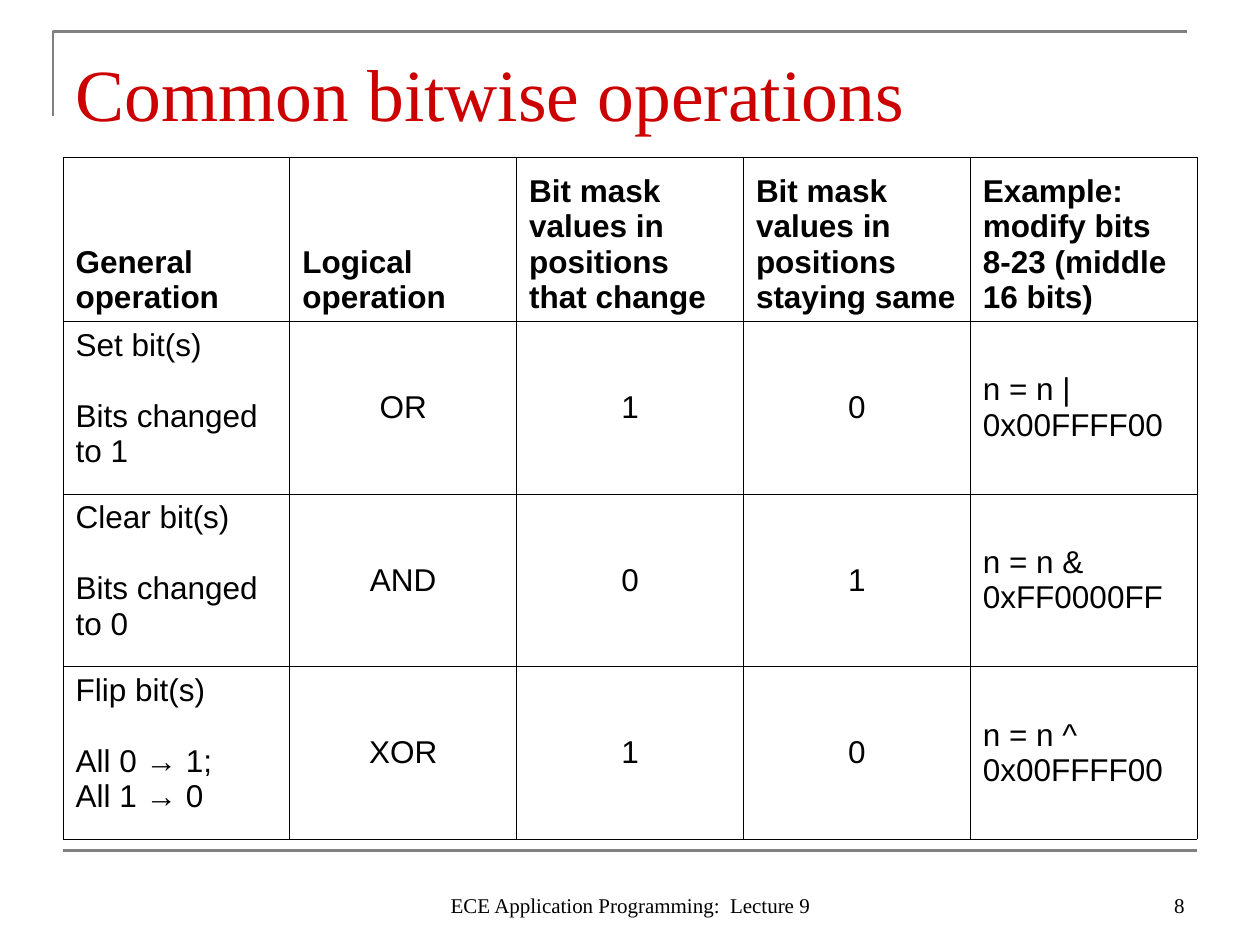
"""Build a slide with a table of common bitwise operations."""
from lxml.etree import SubElement
from pptx import Presentation
from pptx.dml.color import RGBColor
from pptx.enum.shapes import MSO_CONNECTOR
from pptx.enum.text import MSO_ANCHOR as Anchor, PP_ALIGN as Align
from pptx.oxml.ns import qn
from pptx.util import Inches, Pt

RED = RGBColor(0xCC, 0x00, 0x00)
GRAY = RGBColor(0x80, 0x80, 0x80)
BLACK = RGBColor(0x00, 0x00, 0x00)
WHITE = RGBColor(0xFF, 0xFF, 0xFF)
SERIF, SANS = "Times New Roman", "Arial"
ROWS = [
    (["General operation"], "Logical operation", "Bit mask values in positions that change",
     "Bit mask values in positions staying same", "Example: modify bits 8-23 (middle 16 bits)"),
    (["Set bit(s)", "Bits changed to 1"], "OR", "1", "0", "n = n | 0x00FFFF00"),
    (["Clear bit(s)", "Bits changed to 0"], "AND", "0", "1", "n = n & 0xFF0000FF"),
    (["Flip bit(s)", "All 0 → 1;", "All 1 → 0"], "XOR", "1", "0", "n = n ^ 0x00FFFF00"),
]


def write(frame, lines, size=18, font=SANS, color=BLACK, bold=False, align=Align.LEFT,
          anchor=Anchor.BOTTOM, gap=0):
    frame.word_wrap = True
    frame.vertical_anchor = anchor
    for index, line in enumerate(lines):
        paragraph = frame.add_paragraph() if index else frame.paragraphs[0]
        paragraph.alignment = align
        paragraph.space_before = Pt(gap if index == 1 else 0)
        run = paragraph.add_run()
        run.text = line
        run.font.size, run.font.name, run.font.bold = Pt(size), font, bold
        run.font.color.rgb = color


def add_borders(cell):
    properties = cell._tc.get_or_add_tcPr()
    for side in ("a:lnL", "a:lnR", "a:lnT", "a:lnB"):
        border = SubElement(properties, qn(side), w=str(Pt(0.45)))
        fill = SubElement(border, qn("a:solidFill"))
        SubElement(fill, qn("a:srgbClr"), val=str(BLACK))


presentation = Presentation()
presentation.slide_width, presentation.slide_height = Inches(10), Inches(7.5)
slide = presentation.slides.add_slide(presentation.slide_layouts[5])
margin = presentation.slide_width // 20
content_width = presentation.slide_width - 2 * margin
right = margin + content_width

corner_left, corner_top = Inches(0.42), Inches(0.25)
builder = slide.shapes.build_freeform(corner_left, Inches(0.92), scale=1.0)
builder.add_line_segments(
    [(corner_left, corner_top), (corner_left + content_width, corner_top)], close=False)
corner = builder.convert_to_shape()
corner.shadow.inherit = False
corner.fill.background()

rule_top = int(presentation.slide_height * 0.9)
rule = slide.shapes.add_connector(MSO_CONNECTOR.STRAIGHT, margin, rule_top, right, rule_top)
SubElement(rule._element.spPr, qn("a:effectLst"))
for shape in (corner, rule):
    shape.line.color.rgb = GRAY
    shape.line.width = Pt(1.5)

title = slide.shapes.title
title.left, title.top, title.width, title.height = margin, Inches(0.3), content_width, Inches(0.78)
title.text_frame.margin_bottom = 0
write(title.text_frame, ["Common bitwise operations"], size=42, font=SERIF, color=RED)

table = slide.shapes.add_table(
    len(ROWS), len(ROWS[0]), margin, Inches(1.25), content_width, Inches(5.41)).table
table.first_row = table.horz_banding = False
for row_index, (row, values) in enumerate(zip(table.rows, ROWS)):
    is_header = row_index == 0
    row.height = Inches(1.3 if is_header else 1.37)
    for column, (cell, value) in enumerate(zip(row.cells, values)):
        add_borders(cell)
        cell.fill.solid()
        cell.fill.fore_color.rgb = WHITE
        is_centered = not is_header and column in (1, 2, 3)
        body_anchor = Anchor.MIDDLE if column else Anchor.TOP
        write(cell.text_frame, value if column == 0 else [value], bold=is_header, gap=20.5,
              align=Align.CENTER if is_centered else Align.LEFT)
        cell.vertical_anchor = Anchor.BOTTOM if is_header else body_anchor

footer_top, footer_height = Inches(6.83), Inches(0.5)
for text, width, left, align in (
        ("ECE Application Programming:  Lecture 9", Inches(3.17), Inches(3.42), Align.CENTER),
        ("8", Inches(2.33), right - Inches(2.33), Align.RIGHT)):
    box = slide.shapes.add_textbox(left, footer_top, width, footer_height)
    write(box.text_frame, [text], size=12, font=SERIF, align=align)

presentation.save("out.pptx")
